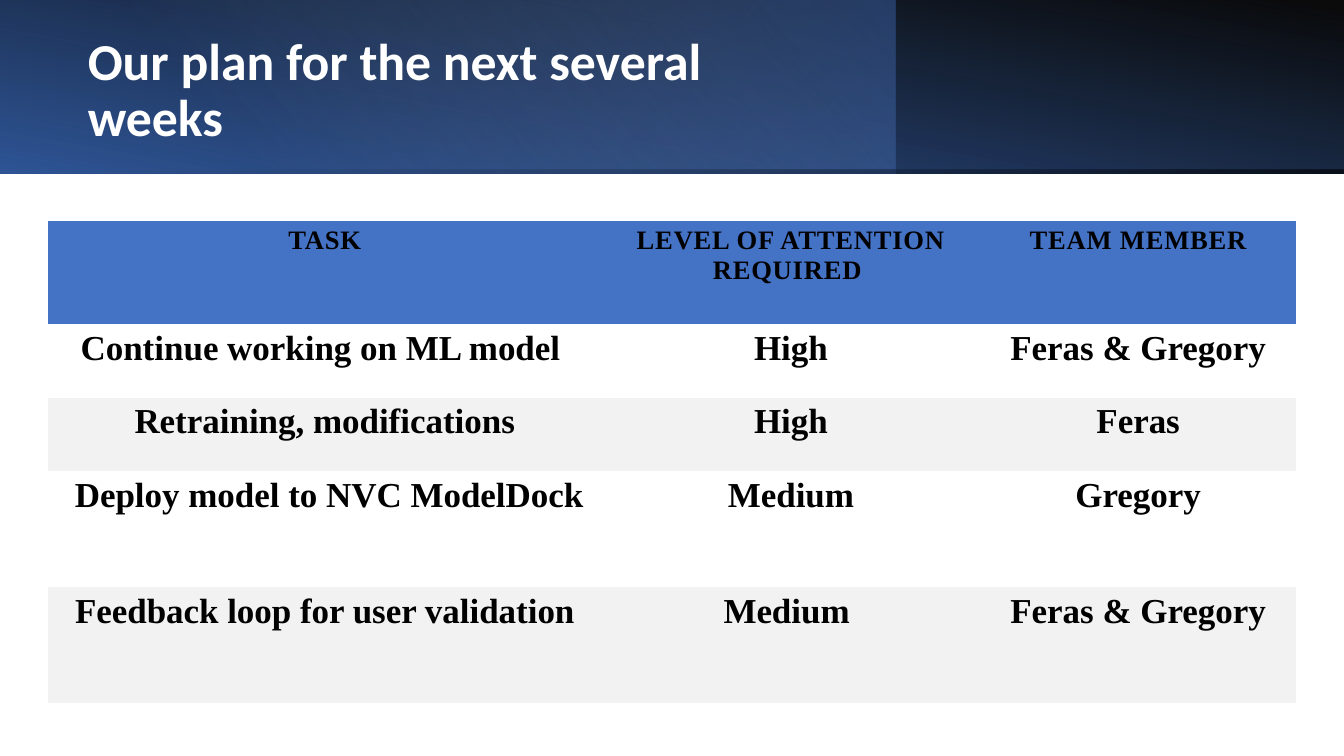
"""Build the project plan slide: a gradient header with a title above a task table."""

from dataclasses import dataclass

from lxml.etree import SubElement
from pptx import Presentation
from pptx.dml.color import RGBColor
from pptx.enum.shapes import MSO_SHAPE
from pptx.enum.text import MSO_ANCHOR, MSO_AUTO_SIZE, PP_ALIGN
from pptx.oxml.ns import qn
from pptx.slide import Slide
from pptx.table import _Cell
from pptx.text.text import _Paragraph
from pptx.util import Pt


@dataclass(frozen=True)
class Theme:
    title_font: str = "Calibri"
    table_font: str = "Times New Roman"
    title_size: float = 37
    header_size: float = 19
    body_size: float = 25
    white: str = "FFFFFF"
    black: str = "000000"
    blue: str = "4472C4"
    light_blue: str = "8FAADC"
    dark_blue: str = "2F5597"
    stripe: str = "F2F2F2"


@dataclass(frozen=True)
class Stop:
    position: int
    color: str
    opacity: int = 100


@dataclass(frozen=True)
class Band:
    width: float
    angle: int
    stops: tuple[Stop, Stop]
    rotation: int = 0
    flipped: bool = False


@dataclass(frozen=True)
class Row:
    height: float
    texts: tuple[str, str, str]


THEME = Theme()
WIDTH, HEIGHT, BAND_HEIGHT = 960, 540, 124
NO_GRID_STYLE = "{2D5ABB26-0587-4C30-8999-92F81FD0307C}"

BANDS = (
    Band(WIDTH, 260, (Stop(0, THEME.black, 96), Stop(100, THEME.dark_blue)), 180, True),
    Band(640, 320, (Stop(26, THEME.light_blue, 0), Stop(100, THEME.blue, 41))),
    Band(WIDTH, 100, (Stop(22, THEME.blue, 15), Stop(100, THEME.black, 63)), flipped=True),
)
COLUMNS = (396, 270, 226)
ROWS = (
    Row(73.5, ("TASK", "LEVEL OF ATTENTION REQUIRED ", "TEAM MEMBER")),
    Row(52.5, ("Continue working on ML model ", "High", "Feras & Gregory")),
    Row(52.5, ("Retraining, modifications", "High", "Feras")),
    Row(83, (" Deploy model to NVC ModelDock", "Medium", "Gregory")),
    Row(83, ("Feedback loop for user validation", "Medium ", "Feras & Gregory")),
)


def style(p: _Paragraph, font: str, size: float, color: str, align: PP_ALIGN) -> None:
    p.alignment = align
    p.font.name = font
    p.font.size = Pt(size)
    p.font.bold = True
    p.font.color.rgb = RGBColor.from_string(color)


def add_band(s: Slide, band: Band) -> None:
    sp = s.shapes.add_shape(MSO_SHAPE.RECTANGLE, 0, 0, Pt(band.width), Pt(BAND_HEIGHT))
    sp.shadow.inherit = False
    sp.line.fill.background()
    sp.rotation = band.rotation
    if band.flipped:
        sp.element.spPr.find(qn("a:xfrm")).set("flipH", "1")
    sp.fill.gradient()
    sp.fill.gradient_angle = 360 - band.angle
    for gs, stop in zip(sp.fill.gradient_stops, band.stops):
        gs.position = stop.position / 100
        gs.color.rgb = RGBColor.from_string(stop.color)
    for clr, stop in zip(sp.element.spPr.iter(qn("a:srgbClr")), band.stops):
        SubElement(clr, qn("a:alpha")).set("val", str(stop.opacity * 1000))


def place_title(s: Slide, text: str) -> None:
    sp = s.shapes.title
    sp.element.getparent().append(sp.element)
    sp.left, sp.top, sp.width, sp.height = Pt(55.5), Pt(19.5), Pt(556), Pt(91.5)
    tf = sp.text_frame
    tf.text = text
    tf.word_wrap = True
    tf.auto_size = MSO_AUTO_SIZE.NONE
    tf.vertical_anchor = MSO_ANCHOR.MIDDLE
    p = tf.paragraphs[0]
    p.line_spacing = 0.9
    style(p, THEME.title_font, THEME.title_size, THEME.white, PP_ALIGN.LEFT)


def fill_cell(cell: _Cell, text: str, row: int) -> None:
    header = row == 0
    cell.text = text
    cell.margin_left = cell.margin_right = Pt(11.5)
    cell.margin_top = cell.margin_bottom = Pt(3.6)
    if row % 2 and not header:
        cell.fill.background()
    else:
        cell.fill.solid()
        cell.fill.fore_color.rgb = RGBColor.from_string(THEME.blue if header else THEME.stripe)
    p = cell.text_frame.paragraphs[0]
    size = THEME.header_size if header else THEME.body_size
    style(p, THEME.table_font, size, THEME.black, PP_ALIGN.CENTER)
    if header:
        p.runs[0].font.bold = True
        p.runs[0]._r.get_or_add_rPr().set("spc", "60")


def add_plan(s: Slide) -> None:
    height = sum(row.height for row in ROWS)
    frame = s.shapes.add_table(
        len(ROWS), len(COLUMNS), Pt(34), Pt(158), Pt(sum(COLUMNS)), Pt(height)
    )
    table = frame.table
    table.first_row = table.horz_banding = False
    next(frame.element.iter(qn("a:tableStyleId"))).text = NO_GRID_STYLE
    for column, width in zip(table.columns, COLUMNS):
        column.width = Pt(width)
    for i, row in enumerate(ROWS):
        table.rows[i].height = Pt(row.height)
        for j, text in enumerate(row.texts):
            fill_cell(table.cell(i, j), text, i)


def main() -> None:
    prs = Presentation()
    prs.slide_width, prs.slide_height = Pt(WIDTH), Pt(HEIGHT)
    s = prs.slides.add_slide(prs.slide_layouts[5])
    for band in BANDS:
        add_band(s, band)
    place_title(s, "Our plan for the next several weeks")
    add_plan(s)
    prs.save("out.pptx")


if __name__ == "__main__":
    main()
